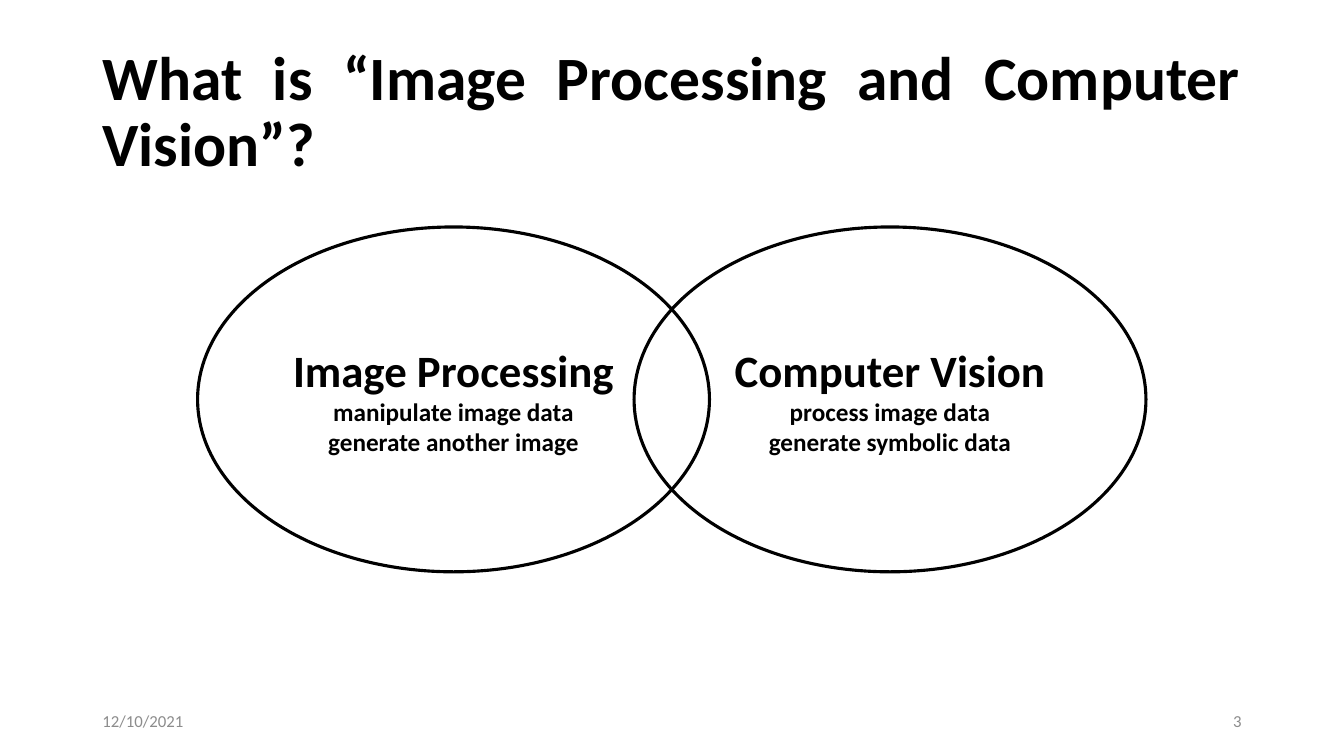
from pptx import Presentation
from pptx.dml.color import RGBColor
from pptx.enum.shapes import MSO_SHAPE
from pptx.enum.text import MSO_ANCHOR, PP_ALIGN
from pptx.util import Cm, Pt

COLORS = {"ink": "000000", "muted": "8C8C8C"}


def rgb(name):
    return RGBColor.from_string(COLORS[name])


def add_text(p, text, size=18, color="ink", bold=False, align=PP_ALIGN.LEFT,
             spacing=None, font="Calibri"):
    p.alignment = align
    if spacing:
        p.line_spacing = spacing
    r = p.add_run()
    r.text = text
    r.font.name = font
    r.font.size = Pt(size)
    r.font.bold = bold
    r.font.color.rgb = rgb(color)


class SlideBuilder:
    def __init__(self, prs):
        self.slide = prs.slides.add_slide(prs.slide_layouts[6])
        self.line_width = Pt(2.25)

    def text_box(self, text, left, top, width, height, **style):
        sp = self.slide.shapes.add_textbox(Cm(left), Cm(top), Cm(width), Cm(height))
        tf = sp.text_frame
        tf.word_wrap = True
        tf.vertical_anchor = MSO_ANCHOR.MIDDLE
        add_text(tf.paragraphs[0], text, **style)

    def ellipse(self, heading, details, left, top, width, height):
        sp = self.slide.shapes.add_shape(
            MSO_SHAPE.OVAL, Cm(left), Cm(top), Cm(width), Cm(height))
        sp.shadow.inherit = False
        sp.fill.background()
        sp.line.color.rgb = rgb("ink")
        sp.line.width = self.line_width
        tf = sp.text_frame
        tf.word_wrap = False
        tf.vertical_anchor = MSO_ANCHOR.MIDDLE
        add_text(tf.paragraphs[0], heading, size=32, bold=True, align=PP_ALIGN.CENTER)
        for detail in details:
            add_text(tf.add_paragraph(), detail, bold=True, align=PP_ALIGN.CENTER)


def main():
    prs = Presentation()
    prs.slide_width, prs.slide_height = Cm(33.87), Cm(19.05)
    builder = SlideBuilder(prs)

    builder.text_box("What is “Image Processing and Computer Vision”?",
                     2.33, 1.02, 29.21, 3.68, size=44, bold=True,
                     align=PP_ALIGN.JUSTIFY, spacing=0.9)

    fields = [
        ("Image Processing", ["manipulate image data", "generate another image"]),
        ("Computer Vision", ["process image data", "generate symbolic data"]),
    ]
    for i, (heading, details) in enumerate(fields):
        builder.ellipse(heading, details, 4.98 + 11 * i, 5.72, 12.9, 8.69)

    footers = [("12/10/2021", 2.33, PP_ALIGN.LEFT), ("3", 23.92, PP_ALIGN.RIGHT)]
    for text, left, align in footers:
        builder.text_box(text, left, 17.65, 7.62, 1.02,
                         size=12, color="muted", align=align)

    prs.save("out.pptx")


if __name__ == "__main__":
    main()
